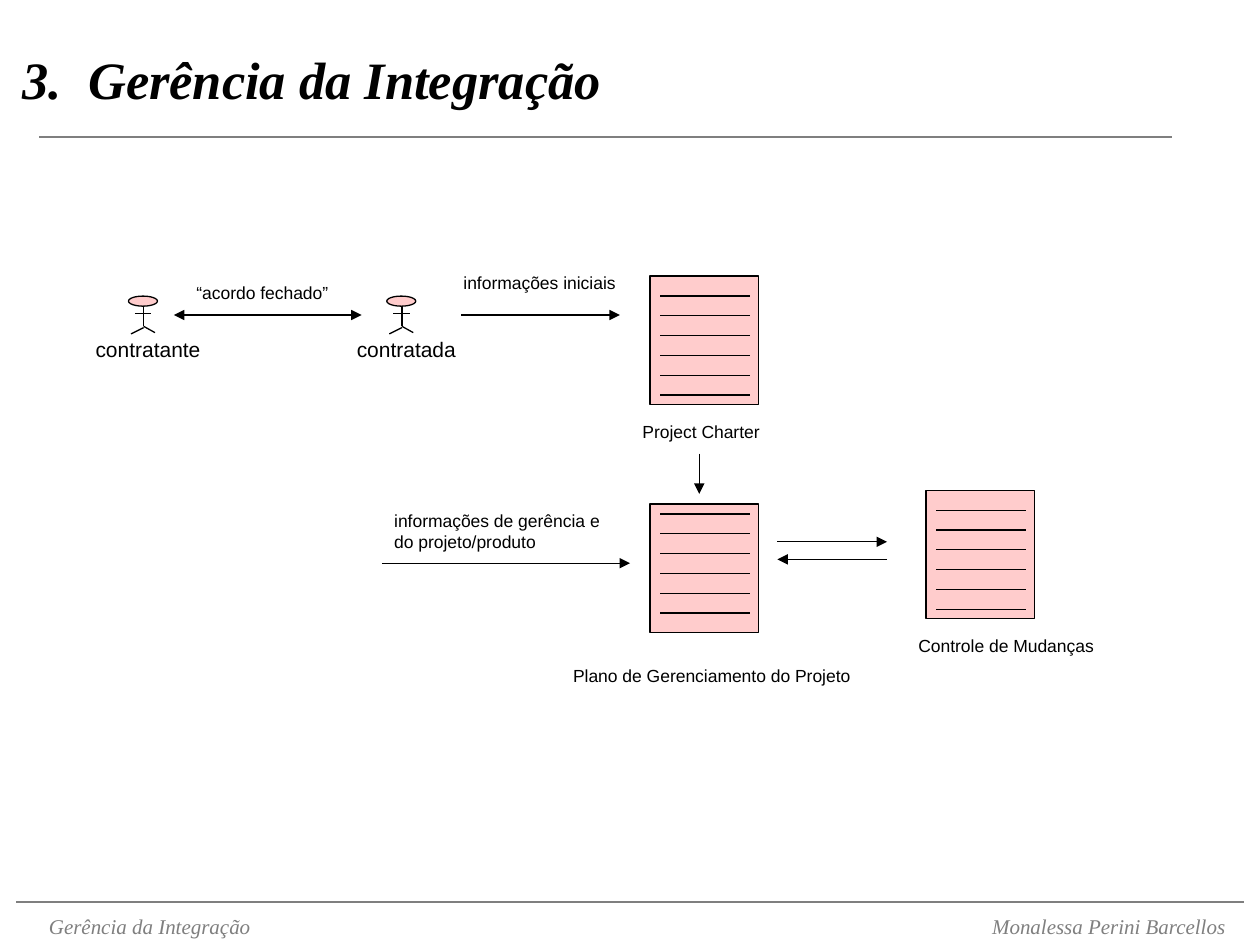
from pptx import Presentation
from pptx.dml.color import RGBColor
from pptx.enum.shapes import MSO_CONNECTOR as CONN, MSO_SHAPE as SHAPE
from pptx.enum.text import MSO_ANCHOR as ANCHOR, MSO_AUTO_SIZE as AUTO, PP_ALIGN as ALIGN
from pptx.oxml.ns import qn
from pptx.util import Inches, Pt
from lxml.etree import SubElement

BLACK, GRAY, PINK = "000000", "7F7F7F", "FFCCCC"
SANS, SERIF = "Arial", "Times New Roman"


def color(code):
    return RGBColor.from_string(code)


def style(par, size, face=SANS, ink=BLACK, bold=False, italic=False):
    font = par.font
    font.name, font.size = face, Pt(size)
    font.bold, font.italic = bold, italic
    font.color.rgb = color(ink)


def add_tab(par, pos, align):
    """Set one tab stop; call before the font is set."""
    tabs = SubElement(par._p.get_or_add_pPr(), qn("a:tabLst"))
    SubElement(tabs, qn("a:tab"), pos=str(Inches(pos)), algn=align)


def add_line(shapes, x1, y1, x2, y2, ink=BLACK, width=0.75, ends=()):
    """Draw a line; ends names the arrowheads, headEnd before tailEnd."""
    line = shapes.add_connector(CONN.STRAIGHT, *map(Inches, (x1, y1, x2, y2)))
    line.line.color.rgb = color(ink)
    line.line.width = Pt(width)
    for end in ends:
        SubElement(line.line._get_or_add_ln(), qn("a:" + end), type="triangle")
    SubElement(line._element.spPr, qn("a:effectLst"))


def add_pink(shapes, kind, x, y, w, h):
    shape = shapes.add_shape(kind, *map(Inches, (x, y, w, h)))
    shape.shadow.inherit = False
    shape.fill.solid()
    shape.fill.fore_color.rgb = color(PINK)
    shape.line.color.rgb = color(BLACK)
    shape.line.width = Pt(0.75)


def add_label(shapes, text, x, y, w, h=0.27, size=10, align=ALIGN.LEFT):
    box = shapes.add_textbox(*map(Inches, (x, y, w, h)))
    frame = box.text_frame
    frame.word_wrap = True
    frame.text = text
    for par in frame.paragraphs:
        par.alignment = align
        style(par, size)


def add_person(slide, name, x, y):
    """Stick figure with its head at x, y and its name below."""
    parts = slide.shapes.add_group_shape().shapes
    add_pink(parts, SHAPE.OVAL, x, y, 0.23, 0.08)
    limbs = ((0.12, 0.08, 0.12, 0.24), (0.05, 0.14, 0.18, 0.14),
             (0.12, 0.25, 0.02, 0.3), (0.12, 0.24, 0.21, 0.29))
    for x1, y1, x2, y2 in limbs:
        add_line(parts, x + x1, y + y1, x + x2, y + y2)
    add_label(parts, name, x - 0.59, y + 0.27, 1.49, 0.3, 12, ALIGN.CENTER)


def add_page(slide, x, y, first):
    """Sheet with six ruled lines, the first one at the given offset."""
    parts = slide.shapes.add_group_shape().shapes
    add_pink(parts, SHAPE.RECTANGLE, x, y, 0.86, 1.02)
    for row in range(6):
        level = y + first + row * 0.157
        add_line(parts, x + 0.08, level, x + 0.79, level)


def add_header(slide, text):
    title = slide.shapes.title
    title.left, title.top, title.width, title.height = map(Inches, (0.08, 0, 9.92, 1.25))
    frame = title.text_frame
    frame.auto_size = AUTO.NONE
    frame.vertical_anchor = ANCHOR.MIDDLE
    frame.text = text
    par = frame.paragraphs[0]
    par.alignment = ALIGN.LEFT
    add_tab(par, 0.52, "l")
    style(par, 30, SERIF, bold=True, italic=True)
    add_line(slide.shapes, 0.31, 1.09, 9.3, 1.09, GRAY, 1)


def add_footer(slide, left, right):
    parts = slide.shapes.add_group_shape().shapes
    add_line(parts, 0.13, 7.16, 9.87, 7.16, GRAY)
    box = parts.add_textbox(*map(Inches, (0.29, 7.2, 9.6, 0.3)))
    frame = box.text_frame
    frame.word_wrap = True
    frame.text = f"{left}\t{right}"
    par = frame.paragraphs[0]
    add_tab(par, 9.34, "r")
    style(par, 12, SERIF, GRAY, italic=True)


def add_flow(slide):
    for name, x in (("contratante", 1.02), ("contratada", 3.07)):
        add_person(slide, name, x, 2.35)

    for x, y, first in ((5.16, 2.19, 0.16), (5.16, 4, 0.08), (7.35, 3.89, 0.16)):
        add_page(slide, x, y, first)

    both, tail = ("headEnd", "tailEnd"), ("tailEnd",)
    arrows = (
        (1.38, 2.5, 2.87, 2.5, both),
        (3.66, 2.5, 4.92, 2.5, tail),
        (5.55, 3.6, 5.55, 3.92, tail),
        (3.03, 4.47, 5, 4.47, tail),
        (6.17, 4.3, 7.04, 4.3, tail),
        (7.04, 4.44, 6.17, 4.44, tail),
    )
    for *points, ends in arrows:
        add_line(slide.shapes, *points, ends=ends)

    labels = (
        ("“acordo fechado”", 1.46, 2.19, 1.35),
        ("informações iniciais", 3.58, 2.11, 1.5),
        ("Project Charter", 5, 3.29, 1.25),
        ("informações de gerência e\ndo projeto/produto", 3.03, 4, 1.95, 0.44),
        ("Plano de Gerenciamento do Projeto", 4.45, 5.23, 2.5),
        ("Controle de Mudanças", 7.19, 4.99, 1.7),
    )
    for label in labels:
        add_label(slide.shapes, *label)


def main():
    deck = Presentation()
    deck.slide_width, deck.slide_height = Inches(10), Inches(7.5)
    slide = deck.slides.add_slide(deck.slide_layouts[5])
    add_header(slide, "3.\tGerência da Integração")
    add_flow(slide)
    add_footer(slide, "Gerência da Integração", "Monalessa Perini Barcellos")
    deck.save("out.pptx")


if __name__ == "__main__":
    main()
